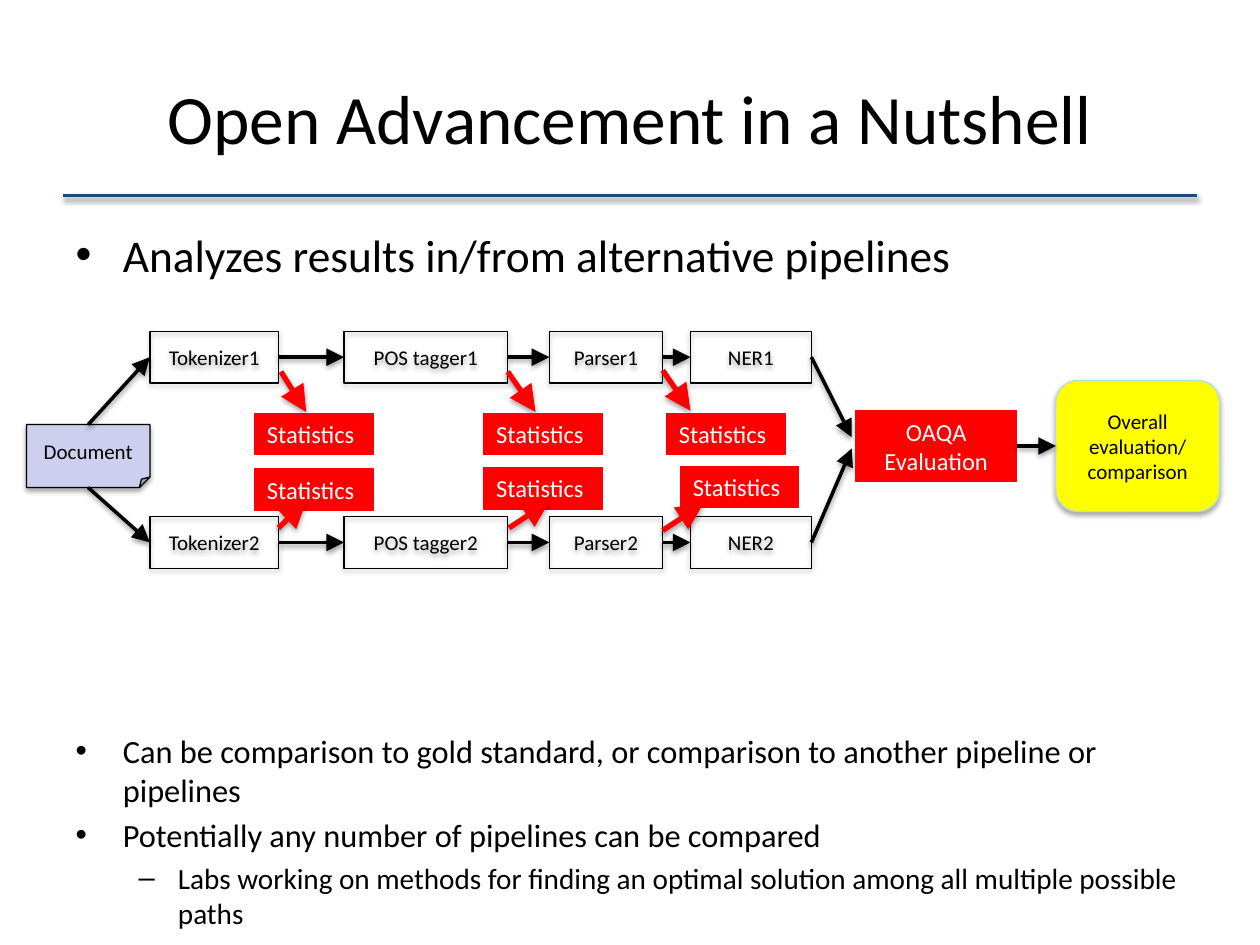
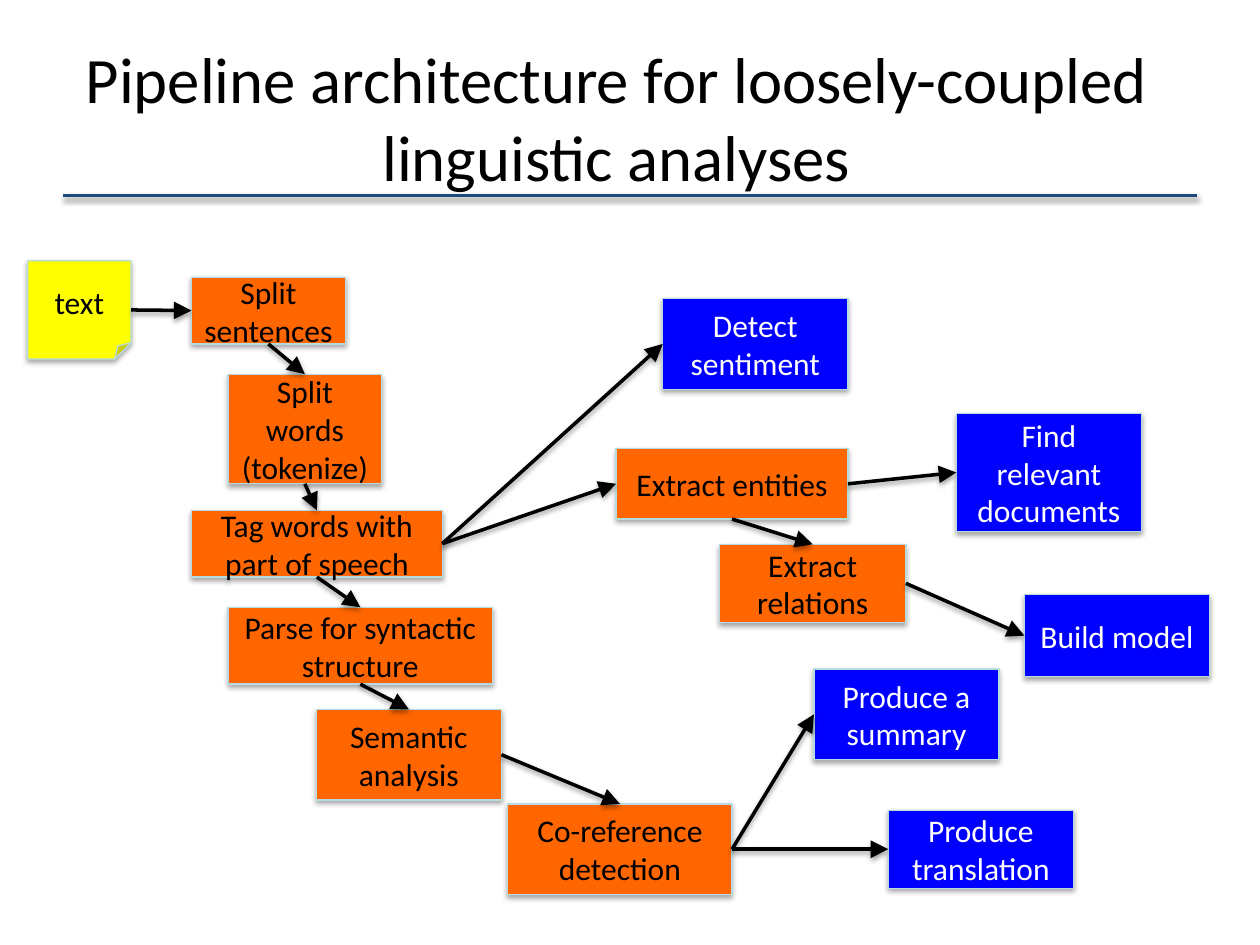
from dataclasses import dataclass
from itertools import pairwise

from lxml.etree import SubElement
from pptx import Presentation
from pptx.dml.color import RGBColor
from pptx.enum.shapes import MSO_CONNECTOR, MSO_SHAPE
from pptx.enum.text import MSO_ANCHOR, MSO_AUTO_SIZE, PP_ALIGN
from pptx.oxml.ns import qn
from pptx.util import Emu, Pt

PX = 9144  # 100 px to the inch
TOP, LEFT, BOTTOM, RIGHT = range(4)


@dataclass(frozen=True)
class Theme:
    font: str = "Calibri"
    black: RGBColor = RGBColor(0x00, 0x00, 0x00)
    white: RGBColor = RGBColor(0xFF, 0xFF, 0xFF)
    navy: RGBColor = RGBColor(0x1F, 0x49, 0x7D)
    red: RGBColor = RGBColor(0xFF, 0x00, 0x00)
    yellow: RGBColor = RGBColor(0xFF, 0xFF, 0x00)
    lavender: RGBColor = RGBColor(0xCE, 0xCE, 0xEF)
    orange: RGBColor = RGBColor(0xFF, 0x66, 0x00)
    blue: RGBColor = RGBColor(0x00, 0x00, 0xFF)
    pale_teal: RGBColor = RGBColor(0xB6, 0xDC, 0xDF)
    title: float = 39.6
    long_title: float = 37
    lead: float = 25.9
    bullet: float = 18.5
    sub_bullet: float = 16.7
    small: float = 12
    label: float = 14
    step: float = 18
    outline: float = 0.75
    stroke: float = 2
    thick_stroke: float = 3
    box_shadow: int = 35
    line_shadow: int = 38


theme = Theme()

# Fill, line, text colour, text size, alignment, shadow opacity
STYLES = {
    "component": (None, theme.black, theme.black, theme.small, PP_ALIGN.CENTER, theme.box_shadow),
    "document": (theme.lavender, theme.black, theme.black, theme.small, PP_ALIGN.CENTER, theme.box_shadow),
    "statistics": (theme.red, theme.red, theme.white, theme.label, PP_ALIGN.LEFT, 0),
    "evaluation": (theme.red, theme.red, theme.white, theme.label, PP_ALIGN.CENTER, 0),
    "overall": (theme.yellow, theme.pale_teal, theme.black, theme.small, PP_ALIGN.CENTER, theme.box_shadow),
    "input": (theme.yellow, theme.pale_teal, theme.black, theme.step, PP_ALIGN.CENTER, theme.box_shadow),
    "analysis": (theme.orange, theme.pale_teal, theme.black, theme.step, PP_ALIGN.CENTER, theme.box_shadow),
    "application": (theme.blue, theme.pale_teal, theme.white, theme.step, PP_ALIGN.CENTER, theme.box_shadow),
}

shadow_opacity = []  # (shape, percent) pairs, applied at the end


def add_box(slide, text, bounds, style, outline=MSO_SHAPE.RECTANGLE):
    fill, line, text_color, size, alignment, opacity = STYLES[style]
    shape = slide.shapes.add_shape(outline, *(Emu(value * PX) for value in bounds))
    shape.shadow.inherit = False
    if fill is None:
        shape.fill.background()
    else:
        shape.fill.solid()
        shape.fill.fore_color.rgb = fill
    shape.line.color.rgb = line
    shape.line.width = Pt(theme.outline)
    frame = shape.text_frame
    frame.text = text
    frame.word_wrap = True
    frame.vertical_anchor = MSO_ANCHOR.MIDDLE
    for paragraph in frame.paragraphs:
        paragraph.alignment = alignment
        for attribute, value in {"name": theme.font, "size": Pt(size)}.items():
            setattr(paragraph.font, attribute, value)
        paragraph.font.color.rgb = text_color
    if opacity:
        shadow_opacity.append((shape, opacity))
    return shape


def add_line(slide, start, end, color=theme.black, width=theme.stroke, arrow=True):
    """Each end is a point in px or a (shape, side) pair to join."""
    joined = [not isinstance(place[0], int) for place in (start, end)]
    points = [(0, 0) if join else place for place, join in zip((start, end), joined)]
    connector = slide.shapes.add_connector(
        MSO_CONNECTOR.STRAIGHT, *(Emu(value * PX) for point in points for value in point))
    if joined[0]:
        connector.begin_connect(*start)
    if joined[1]:
        connector.end_connect(*end)
    connector.line.color.rgb = color
    connector.line.width = Pt(width)
    properties = connector.element.spPr
    if arrow:
        SubElement(properties.find(qn("a:ln")), qn("a:tailEnd"), type="triangle", w="lg", len="lg")
    SubElement(properties, qn("a:effectLst"))
    shadow_opacity.append((connector, theme.line_shadow))
    return connector


presentation = Presentation()
presentation.slide_width = Emu(1000 * PX)
presentation.slide_height = Emu(750 * PX)

# Titles: layout number, text, left, size
TITLES = [
    (1, "Open Advancement in a Nutshell", 50, theme.title),
    (5, "Pipeline architecture for loosely-coupled linguistic analyses", 39, theme.long_title),
]
for layout, text, left, size in TITLES:
    slide = presentation.slides.add_slide(presentation.slide_layouts[layout])
    title = slide.shapes.title
    for attribute, value in zip(("left", "top", "width", "height"), (left, 30, 900, 125)):
        setattr(title, attribute, Emu(value * PX))
    title.text_frame.text = text
    title.text_frame.auto_size = MSO_AUTO_SIZE.NONE
    title.text_frame.vertical_anchor = MSO_ANCHOR.MIDDLE
    paragraph = title.text_frame.paragraphs[0]
    paragraph.alignment = PP_ALIGN.CENTER
    for attribute, value in {"name": theme.font, "size": Pt(size)}.items():
        setattr(paragraph.font, attribute, value)
    paragraph.font.color.rgb = theme.black
nutshell, architecture = presentation.slides

# The rule under the title belongs to the master
title_rule = add_line(nutshell, (50, 155), (950, 155), theme.navy, arrow=False)
presentation.slide_master.shapes.element.append(title_rule.element)

# Slide 1: bullets around the diagram (text, level, size, space before)
BULLETS = [
    ("Analyzes results in/from alternative pipelines", 0, theme.lead, 0),
    ("Can be comparison to gold standard, or comparison to another pipeline or pipelines",
     0, theme.bullet, 257),
    ("Potentially any number of pipelines can be compared", 0, theme.bullet, 3.5),
    ("Labs working on methods for finding an optimal solution among all multiple possible paths",
     1, theme.sub_bullet, 3.5),
]
body = nutshell.placeholders[1]
for attribute, value in zip(("left", "top", "width", "height"), (50, 175, 900, 537)):
    setattr(body, attribute, Emu(value * PX))
body.text_frame.text = "\n".join(bullet[0] for bullet in BULLETS)
body.text_frame.auto_size = MSO_AUTO_SIZE.NONE
for paragraph, (_, level, size, gap) in zip(body.text_frame.paragraphs, BULLETS):
    for attribute, value in {"level": level, "space_before": Pt(gap)}.items():
        setattr(paragraph, attribute, value)
    for attribute, value in {"name": theme.font, "size": Pt(size)}.items():
        setattr(paragraph.font, attribute, value)
    paragraph.font.color.rgb = theme.black

# Slide 1: two pipelines from one document into one evaluation
COMPONENTS = [("Tokenizer", 119, 102), ("POS tagger", 273, 130), ("Parser", 436, 90), ("NER", 548, 96)]
PIPELINES = [(1, 263, TOP, 347), (2, 410, BOTTOM, 356)]
document = add_box(nutshell, "Document", (21, 337, 98, 50), "document", MSO_SHAPE.FOLDED_CORNER)
for number, top, document_side, evaluation_y in PIPELINES:
    boxes = [add_box(nutshell, f"{name}{number}", (left, top, width, 41), "component")
             for name, left, width in COMPONENTS]
    add_line(nutshell, (document, document_side), (boxes[0], LEFT))
    for box, following in pairwise(boxes):
        add_line(nutshell, (box, RIGHT), (following, LEFT))
    add_line(nutshell, (boxes[-1], RIGHT), (676, evaluation_y))

# Arrow start, arrow end, left and top of the statistics box
STATISTICS = [
    ((223, 295), (243, 327), 202, 328),
    ((403, 295), (425, 327), 384, 328),
    ((526, 294), (548, 326), 529, 328),
    ((221, 419), (243, 398), 202, 372),
    ((404, 419), (436, 398), 384, 371),
    ((526, 421), (558, 400), 540, 370),
]
for start, end, left, top in STATISTICS:
    add_box(nutshell, "Statistics", (left, top, 94, 33), "statistics")
    add_line(nutshell, start, end, theme.red, theme.thick_stroke)

evaluation = add_box(nutshell, "OAQA\nEvaluation", (679, 326, 128, 56), "evaluation")
overall = add_box(nutshell, "Overall evaluation/\ncomparison", (838, 302, 130, 104), "overall",
                  MSO_SHAPE.ROUNDED_RECTANGLE)
add_line(nutshell, (evaluation, RIGHT), (overall, LEFT))

# Slide 2: analysis steps and the applications they feed
STEPS = {
    "analysis": [
        ("Split words (tokenize)", 181, 297, 122, 87),
        ("Split sentences", 152, 220, 122, 53),
        ("Tag words with part of speech", 152, 405, 199, 53),
        ("Parse for syntactic structure", 181, 482, 210, 61),
        ("Extract entities", 489, 356, 184, 56),
        ("Extract relations", 571, 432, 148, 62),
        ("Semantic analysis", 251, 563, 147, 72),
        ("Co-reference detection", 403, 638, 178, 72),
    ],
    "application": [
        ("Detect sentiment", 526, 237, 147, 72),
        ("Find relevant documents", 759, 328, 147, 94),
        ("Build model", 813, 472, 147, 65),
        ("Produce a summary", 646, 531, 147, 72),
        ("Produce translation", 705, 643, 147, 62),
    ],
}
steps = {text: add_box(architecture, text, bounds, style)
         for style, rows in STEPS.items() for text, *bounds in rows}
steps["text"] = add_box(architecture, "text", (22, 207, 82, 78), "input", MSO_SHAPE.FOLDED_CORNER)

FLOWS = [
    ("text", RIGHT, "Split sentences", LEFT),
    ("Split sentences", BOTTOM, "Split words (tokenize)", TOP),
    ("Split words (tokenize)", BOTTOM, "Tag words with part of speech", TOP),
    ("Tag words with part of speech", BOTTOM, "Parse for syntactic structure", TOP),
    ("Parse for syntactic structure", BOTTOM, "Semantic analysis", TOP),
    ("Semantic analysis", RIGHT, "Co-reference detection", TOP),
    ("Tag words with part of speech", RIGHT, "Extract entities", LEFT),
    ("Tag words with part of speech", RIGHT, "Detect sentiment", LEFT),
    ("Extract entities", BOTTOM, "Extract relations", TOP),
    ("Extract entities", RIGHT, "Find relevant documents", LEFT),
    ("Extract relations", RIGHT, "Build model", LEFT),
    ("Co-reference detection", RIGHT, "Produce a summary", LEFT),
    ("Co-reference detection", RIGHT, "Produce translation", LEFT),
]
for source, source_side, target, target_side in FLOWS:
    add_line(architecture, (steps[source], source_side), (steps[target], target_side))

# Soft shadows straight below boxes and lines
for shape, opacity in shadow_opacity:
    effects = shape.element.spPr.find(qn("a:effectLst"))
    shadow = SubElement(effects, qn("a:outerShdw"), blurRad=str(Pt(3)), dist=str(Pt(1.6)),
                        dir="5400000", rotWithShape="0")
    color = SubElement(shadow, qn("a:srgbClr"), val=str(theme.black))
    SubElement(color, qn("a:alpha"), val=str(opacity * 1000))

presentation.save("out.pptx")
